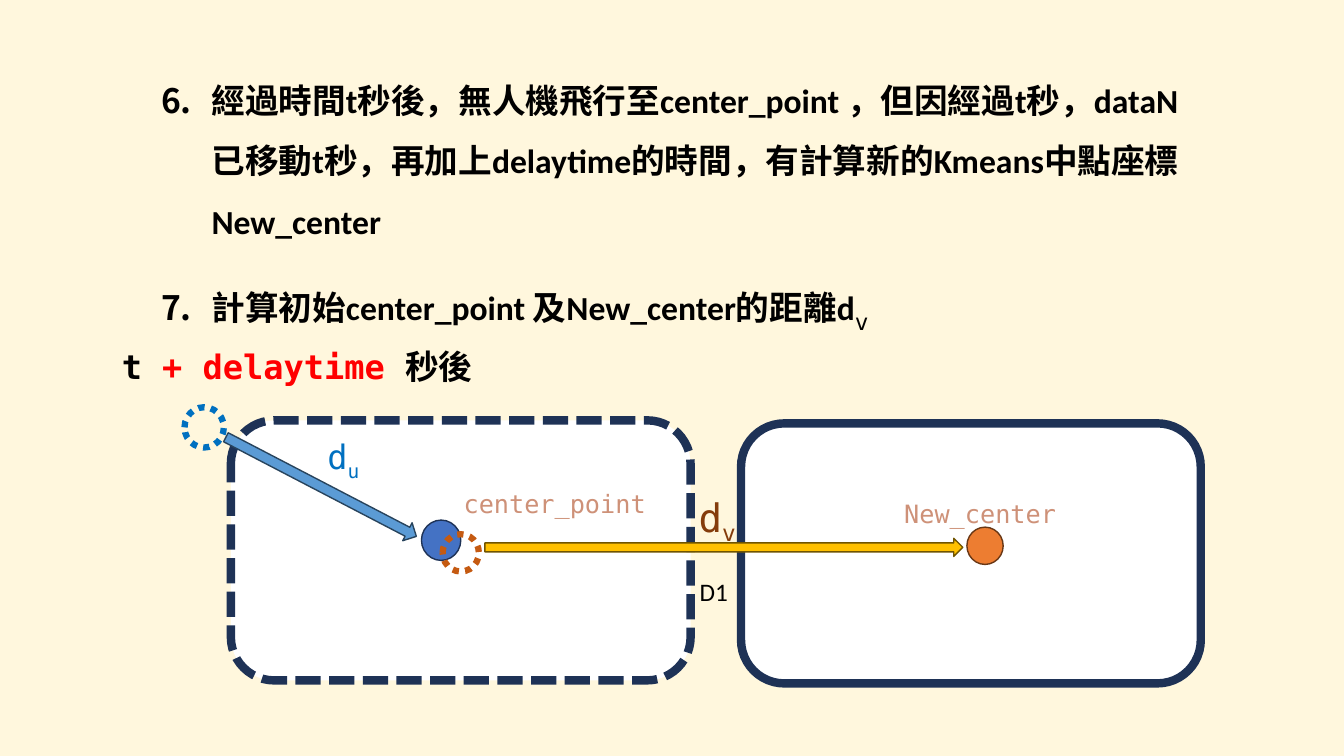
import dataclasses
import pptx
import pptx.util
import pptx.dml.color
import pptx.enum.dml
import pptx.enum.shapes
import pptx.enum.text
from lxml import etree

Inches, Pt = pptx.util.Inches, pptx.util.Pt
SHAPE = pptx.enum.shapes.MSO_SHAPE
DASH = pptx.enum.dml.MSO_LINE


@dataclasses.dataclass(frozen=True)
class Theme:
    background: str = "FFF7DD"
    text: str = "000000"
    accent: str = "FF0000"
    panel: str = "FFFFFF"
    navy: str = "1E3256"
    label: str = "CE9178"
    drone: str = "0070C0"
    drone_arrow: str = "5B9BD5"
    drone_arrow_line: str = "28445D"
    center: str = "4472C4"
    moved: str = "C55A11"
    new_center: str = "ED7D31"
    new_center_line: str = "683715"
    shift_arrow: str = "FFC000"
    shift_arrow_line: str = "705400"
    shift_text: str = "843C0B"
    sans: str = "Calibri"
    mono: str = "DejaVu Sans Mono"
    small: int = 18
    body: int = 24
    large: int = 28
    thin: float = 1
    dotted: float = 4.5
    thick: float = 6


T = Theme()


def rgb(color):
    return pptx.dml.color.RGBColor.from_string(color)


def add_run(p, text, size, color, font, bold=False, subscript=False):
    r = p.add_run()
    r.text = text
    r.font.size = Pt(size)
    r.font.name = font
    r.font.bold = bold
    r.font.color.rgb = rgb(color)
    if subscript:
        r.font._element.set("baseline", "-25000")


def add_text(s, left, top, width, height, wrap=True):
    sp = s.shapes.add_textbox(Inches(left), Inches(top), Inches(width), Inches(height))
    tf = sp.text_frame
    tf.word_wrap = wrap
    return tf


def add_label(s, left, top, width, text, color=T.label):
    tf = add_text(s, left, top, width, 0.4)
    add_run(tf.paragraphs[0], text, T.small, color, T.mono)


def add_distance(s, left, top, width, height, subscript, size, color):
    p = add_text(s, left, top, width, height).paragraphs[0]
    add_run(p, "d", size, color, T.mono)
    add_run(p, subscript, size, color, T.mono, subscript=True)


def add_figure(s, kind, left, top, width, height, fill, line, weight=T.thin, dash=None, angle=0):
    sp = s.shapes.add_shape(kind, Inches(left), Inches(top), Inches(width), Inches(height))
    sp.shadow.inherit = False
    sp.rotation = angle
    if fill:
        sp.fill.solid()
        sp.fill.fore_color.rgb = rgb(fill)
    else:
        sp.fill.background()
    sp.line.color.rgb = rgb(line)
    sp.line.width = Pt(weight)
    if dash:
        sp.line.dash_style = dash


def number_paragraph(p, start):
    p.line_spacing = 1.5
    p.space_before = Pt(10)
    pPr = p._p.get_or_add_pPr()
    pPr.set("marL", str(Inches(0.5)))
    pPr.set("indent", str(-Inches(0.5)))
    ns = pPr.nsmap["a"]
    bullet = etree.SubElement(pPr, f"{{{ns}}}buAutoNum")
    bullet.set("type", "arabicPeriod")
    bullet.set("startAt", str(start))


def build_steps(s, left, top, width, height):
    steps = [
        "經過時間t秒後，無人機飛行至center_point ，但因經過t秒，dataN已移動t秒，"
        "再加上delaytime的時間，有計算新的Kmeans中點座標 New_center",
        "計算初始center_point 及New_center的距離d",
    ]
    tf = add_text(s, left, top, width, height)
    for i, step in enumerate(steps):
        p = tf.add_paragraph() if i else tf.paragraphs[0]
        number_paragraph(p, 6)
        add_run(p, step, T.body, T.text, T.sans, bold=True)
    add_run(p, "v", T.large, T.text, T.mono, subscript=True)


def build_diagram(s, left, top):
    p = add_text(s, left, top, 3.7, 0.5).paragraphs[0]
    for text, color in (("t ", T.text), ("+ delaytime ", T.accent), ("秒後", T.text)):
        add_run(p, text, T.body, color, T.mono, bold=True)

    for dx, dy, dash in ((6.24, 0.82, None), (1.18, 0.79, DASH.SQUARE_DOT)):
        add_figure(s, SHAPE.ROUNDED_RECTANGLE, left + dx, top + dy, 4.56, 2.58,
                   T.panel, T.navy, T.thick, dash)

    add_figure(s, SHAPE.OVAL, left + 3.07, top + 1.78, 0.39, 0.4, T.center, T.navy)
    add_figure(s, SHAPE.OVAL, left + 8.48, top + 1.85, 0.36, 0.37,
               T.new_center, T.new_center_line)
    add_label(s, left + 7.76, top + 1.51, 2.16, "New_center")

    add_figure(s, SHAPE.RIGHT_ARROW, left + 1.01, top + 1.35, 2.13, 0.2,
               T.drone_arrow, T.drone_arrow_line, angle=27.5)
    add_figure(s, SHAPE.OVAL, left + 0.72, top + 0.66, 0.39, 0.4,
               None, T.drone, T.dotted, DASH.ROUND_DOT)
    add_distance(s, left + 2.04, top + 0.9, 0.94, 0.5, "u", T.body, T.drone)

    add_figure(s, SHAPE.OVAL, left + 3.28, top + 1.92, 0.36, 0.37,
               None, T.moved, T.dotted, DASH.ROUND_DOT)
    add_figure(s, SHAPE.RIGHT_ARROW, left + 3.7, top + 1.96, 4.74, 0.18,
               T.shift_arrow, T.shift_arrow_line)
    add_label(s, left + 3.39, top + 1.42, 2.16, "center_point")
    add_distance(s, left + 5.72, top + 1.46, 1.07, 0.57, "v", T.large, T.shift_text)

    tf = add_text(s, left + 5.73, top + 2.29, 0.49, 0.4, wrap=False)
    add_run(tf.paragraphs[0], "D1", T.small, T.text, T.sans)


def main():
    prs = pptx.Presentation()
    prs.slide_width, prs.slide_height = Inches(13.33), Inches(7.5)
    s = prs.slides.add_slide(prs.slide_layouts[6])
    s.background.fill.solid()
    s.background.fill.fore_color.rgb = rgb(T.background)
    build_diagram(s, 1.11, 3.38)
    build_steps(s, 1.5, 0.54, 10.33, 3.07)
    prs.save("out.pptx")


if __name__ == "__main__":
    main()
